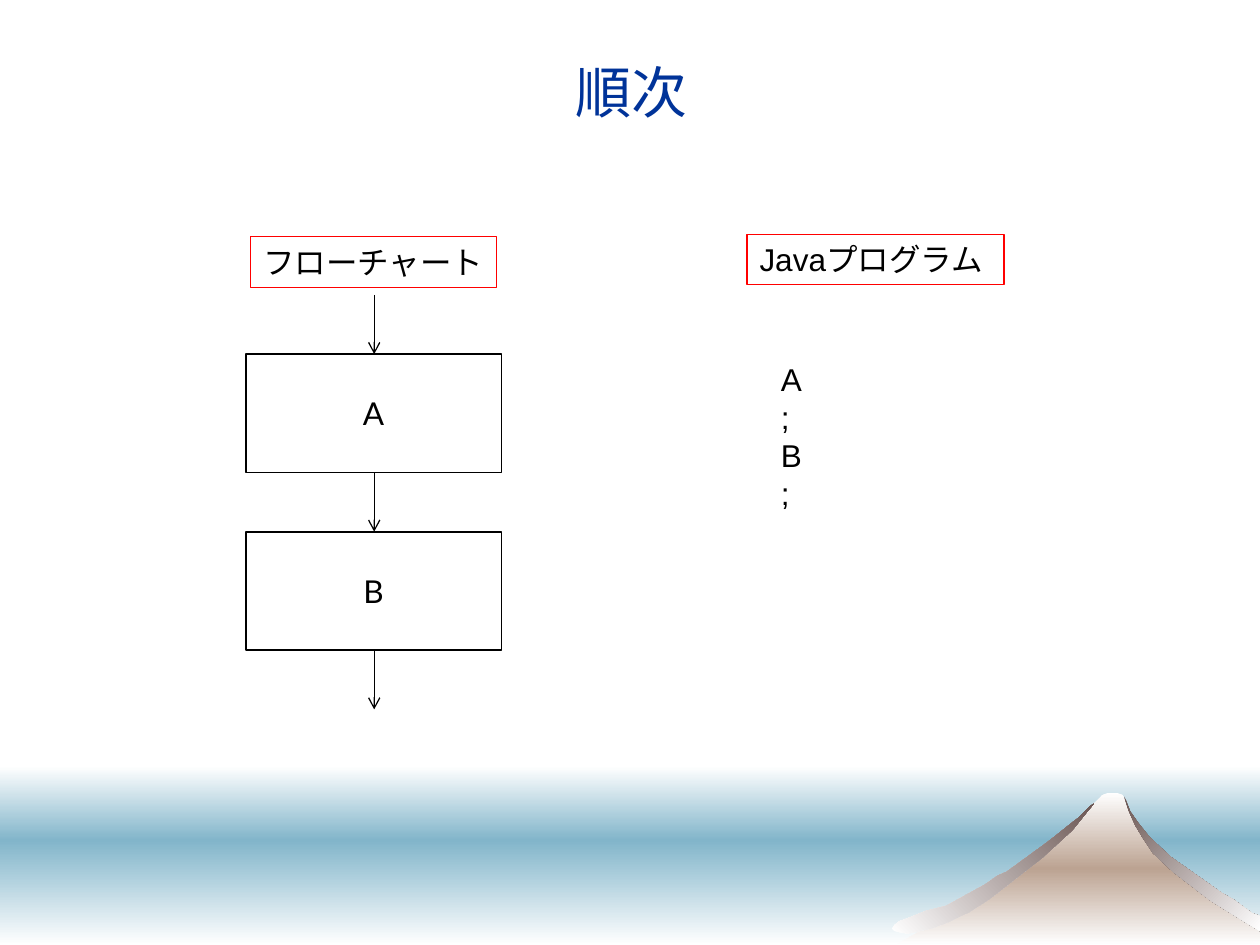
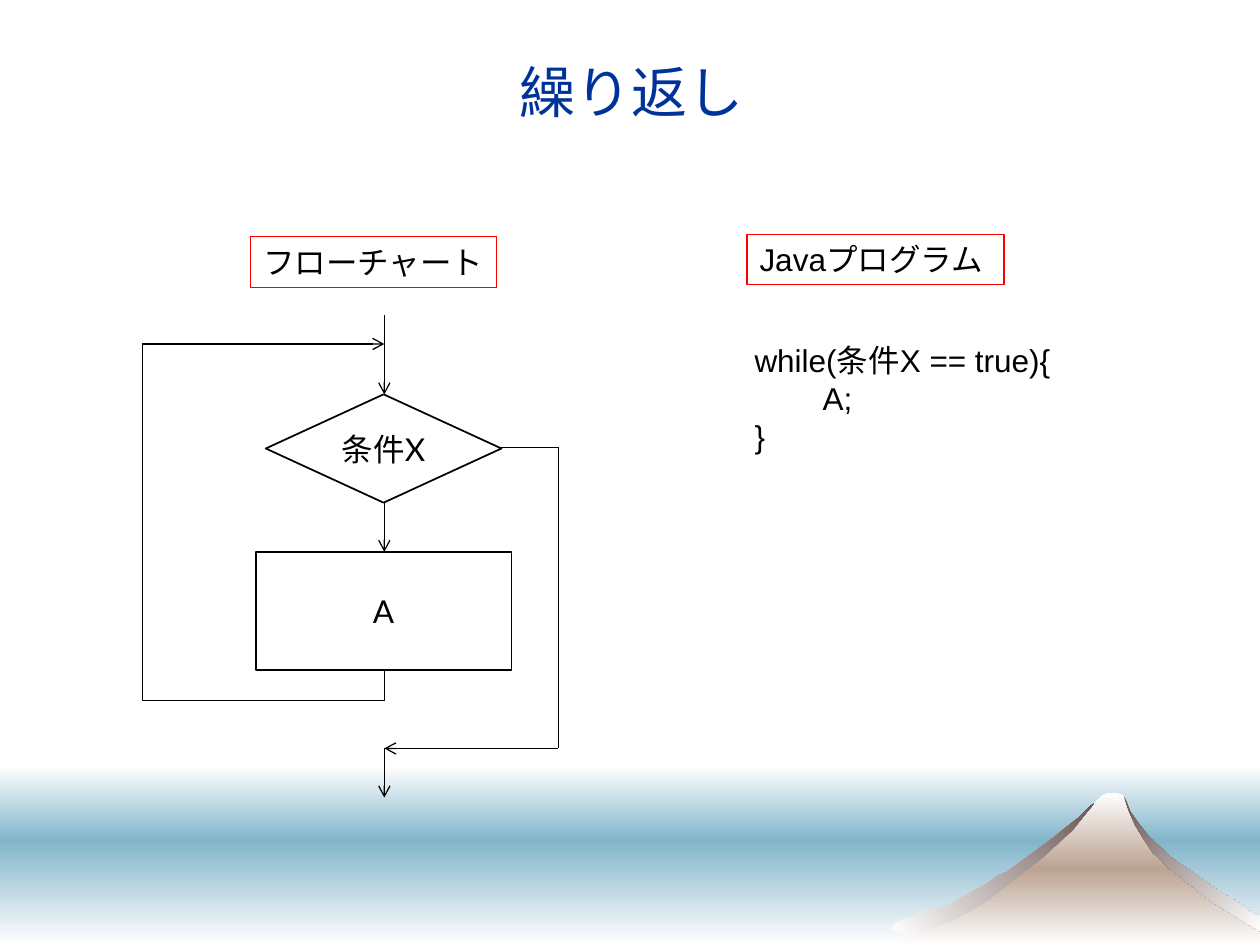
import pptx
import pptx.util
import pptx.dml.color
import pptx.enum.shapes
import pptx.enum.text
import pptx.oxml.ns
from lxml import etree

Inches = pptx.util.Inches
Pt = pptx.util.Pt
RGBColor = pptx.dml.color.RGBColor
SHAPE = pptx.enum.shapes.MSO_SHAPE
ALIGN = pptx.enum.text.PP_ALIGN
ANCHOR = pptx.enum.text.MSO_ANCHOR
qn = pptx.oxml.ns.qn

WHITE = RGBColor(0xFF, 0xFF, 0xFF)
BLACK = RGBColor(0, 0, 0)
RED = RGBColor(0xFF, 0, 0)
TITLE_BLUE = RGBColor(0, 0x33, 0x99)
SEA = RGBColor(0x82, 0xB5, 0xCA)
EARTH = RGBColor(0xBC, 0xA3, 0x92)
RIDGE = RGBColor(0x6B, 0x56, 0x53)

DIAGRAM_FONT = "Lato"
CODE_FONT = "Arial"
STEP_WIDTH, STEP_HEIGHT = 2.03, 0.94

MOUNTAIN = [
    (7.11, 7.5), (7.9, 7.05), (8.4, 6.66), (8.69, 6.37), (8.75, 6.31),
    (8.8, 6.29), (8.86, 6.29), (8.91, 6.31), (9.03, 6.57), (9.22, 6.8),
    (9.68, 7.12), (10, 7.33), (10, 7.5),
]
RIGHT_RIDGE = [
    (9.15, 6.77), (9.31, 6.92), (9.48, 7.05), (9.53, 7.09), (9.61, 7.15),
    (9.9, 7.33), (10, 7.39), (10, 7.27), (9.94, 7.25), (9.79, 7.14),
    (9.7, 7.09), (9.29, 6.8), (9.12, 6.64), (9.04, 6.54), (8.97, 6.44),
    (8.94, 6.36), (8.92, 6.32), (8.93, 6.35), (8.96, 6.44), (9.01, 6.55),
    (9.07, 6.65),
]
LEFT_RIDGE = [
    (8.32, 6.68), (7.99, 6.92), (7.92, 6.95), (7.82, 7.02), (7.51, 7.19),
    (7.35, 7.23), (7.2, 7.29), (7.14, 7.31), (7.1, 7.34), (7.08, 7.37),
    (7.1, 7.39), (7.14, 7.4), (7.2, 7.41), (7.3, 7.39), (7.39, 7.37),
    (7.5, 7.33), (7.69, 7.24), (7.8, 7.17), (7.86, 7.13), (8.27, 6.81),
    (8.51, 6.59), (8.64, 6.43), (8.68, 6.38), (8.65, 6.4), (8.56, 6.49),
]


def shade(shape, colors, angle):
    """Fill with evenly spaced gradient colours; angle runs clockwise."""
    shape.shadow.inherit = False
    shape.line.fill.background()
    shape.fill.gradient()
    shape.fill.gradient_angle = (360 - angle) % 360
    stops = shape._element.spPr.find(qn("a:gradFill")).find(qn("a:gsLst"))
    for stop in list(stops):
        stops.remove(stop)
    for i, color in enumerate(colors):
        position = 100000 * i // (len(colors) - 1)
        stop = etree.SubElement(stops, qn("a:gs"), pos=str(position))
        etree.SubElement(stop, qn("a:srgbClr"), val=str(color))


def add_band(slide, top, height, colors):
    band = slide.shapes.add_shape(
        SHAPE.RECTANGLE, 0, Inches(top), Inches(10), Inches(height))
    shade(band, colors, 90)


def add_outline(slide, points, colors, angle):
    corners = [(Inches(x), Inches(y)) for x, y in points]
    builder = slide.shapes.build_freeform(*corners[0])
    builder.add_line_segments(corners[1:], close=True)
    shade(builder.convert_to_shape(), colors, angle)


def add_scenery(slide):
    add_band(slide, 6.08, 0.59, [WHITE, SEA])
    add_band(slide, 6.67, 0.83, [SEA, WHITE])
    add_outline(slide, MOUNTAIN, [WHITE, EARTH, WHITE], 90)
    add_outline(slide, RIGHT_RIDGE, [RIDGE, WHITE], 45)
    add_outline(slide, LEFT_RIDGE, [WHITE, RIDGE], 315)


def style_text(frame, size, font, color, align):
    for paragraph in frame.paragraphs:
        paragraph.alignment = align
        for run in paragraph.runs:
            run.font.size = Pt(size)
            run.font.name = font
            run.font.color.rgb = color


def add_title(slide, text):
    title = slide.shapes.add_textbox(
        Inches(0.51), Inches(0.21), Inches(9), Inches(1.02))
    frame = title.text_frame
    frame.word_wrap = True
    frame.vertical_anchor = ANCHOR.MIDDLE
    frame.text = text
    style_text(frame, 32, DIAGRAM_FONT, TITLE_BLUE, ALIGN.CENTER)


def add_node(slide, kind, text, left, top, width=STEP_WIDTH, height=STEP_HEIGHT):
    """Draw one flowchart symbol with its text in the middle."""
    node = slide.shapes.add_shape(
        kind, Inches(left), Inches(top), Inches(width), Inches(height))
    node.shadow.inherit = False
    node.fill.solid()
    node.fill.fore_color.rgb = WHITE
    node.line.color.rgb = BLACK
    node.line.width = Pt(1)
    frame = node.text_frame
    frame.vertical_anchor = ANCHOR.MIDDLE
    frame.text = text
    style_text(frame, 18, DIAGRAM_FONT, BLACK, ALIGN.CENTER)


def add_text(slide, text, left, top, width, height):
    box = slide.shapes.add_textbox(
        Inches(left), Inches(top), Inches(width), Inches(height))
    frame = box.text_frame
    frame.word_wrap = False
    frame.auto_size = pptx.enum.text.MSO_AUTO_SIZE.SHAPE_TO_FIT_TEXT
    frame.text = text
    style_text(frame, 18, CODE_FONT, BLACK, ALIGN.LEFT)
    return box


def add_heading(slide, text, left, top, width):
    heading = add_text(slide, text, left, top, width, 0.4)
    heading.line.color.rgb = RED
    heading.line.width = Pt(0.75)


def add_flow(slide, *points):
    """Join the points with straight legs; the last leg ends in an arrowhead."""
    for start, end in zip(points, points[1:]):
        leg = slide.shapes.add_connector(
            pptx.enum.shapes.MSO_CONNECTOR.STRAIGHT,
            *(Inches(value) for value in start + end))
        leg.line.color.rgb = BLACK
        leg.line.width = Pt(0.75)
        properties = leg._element.spPr
        etree.SubElement(properties, qn("a:effectLst"))
    etree.SubElement(properties.find(qn("a:ln")), qn("a:tailEnd"), type="arrow")


def start_slide(deck, title):
    slide = deck.slides.add_slide(deck.slide_layouts[6])
    add_scenery(slide)
    add_title(slide, title)
    add_heading(slide, "フローチャート", 1.99, 1.88, 1.95)
    add_heading(slide, "Javaプログラム", 5.93, 1.86, 2.04)
    return slide


def add_sequence_slide(deck):
    slide = start_slide(deck, "順次")
    center, first_top, gap = 2.97, 2.81, 0.47
    pitch = STEP_HEIGHT + gap
    for i, step in enumerate("AB"):
        add_node(slide, SHAPE.RECTANGLE, step, 1.95, first_top + i * pitch)
    for i in range(3):
        arrow_end = first_top + i * pitch
        add_flow(slide, (center, arrow_end - gap), (center, arrow_end))
    add_text(slide, "A;\nB;", 6.1, 2.81, 0.43, 0.7)


def add_loop_slide(deck):
    slide = start_slide(deck, "繰り返し")
    center = 3.05
    loop_left, loop_top, loop_bottom = 1.13, 2.73, 5.56
    exit_right, exit_bottom = 4.43, 5.94
    add_node(slide, SHAPE.RECTANGLE, "A", 2.03, 4.38)
    add_node(slide, SHAPE.FLOWCHART_DECISION, "条件X", 2.11, 3.13, 1.87, 0.86)
    add_flow(slide, (center, 2.5), (center, 3.13))
    add_flow(slide, (center, 3.99), (center, 4.38))
    add_flow(slide, (3.98, 3.55), (exit_right, 3.55),
             (exit_right, exit_bottom), (center, exit_bottom))
    add_flow(slide, (center, 5.31), (center, loop_bottom),
             (loop_left, loop_bottom), (loop_left, loop_top), (center, loop_top))
    add_flow(slide, (center, exit_bottom), (center, 6.33))
    code = add_text(slide, "while(条件X == true){\nA;\n}", 5.89, 2.66, 2.67, 1)
    loop_body = code.text_frame.paragraphs[1]
    loop_body._p.get_or_add_pPr().set("marL", str(Inches(0.54)))


def main():
    deck = pptx.Presentation()
    deck.slide_width = Inches(10)
    deck.slide_height = Inches(7.5)
    add_sequence_slide(deck)
    add_loop_slide(deck)
    deck.save("out.pptx")


if __name__ == "__main__":
    main()
